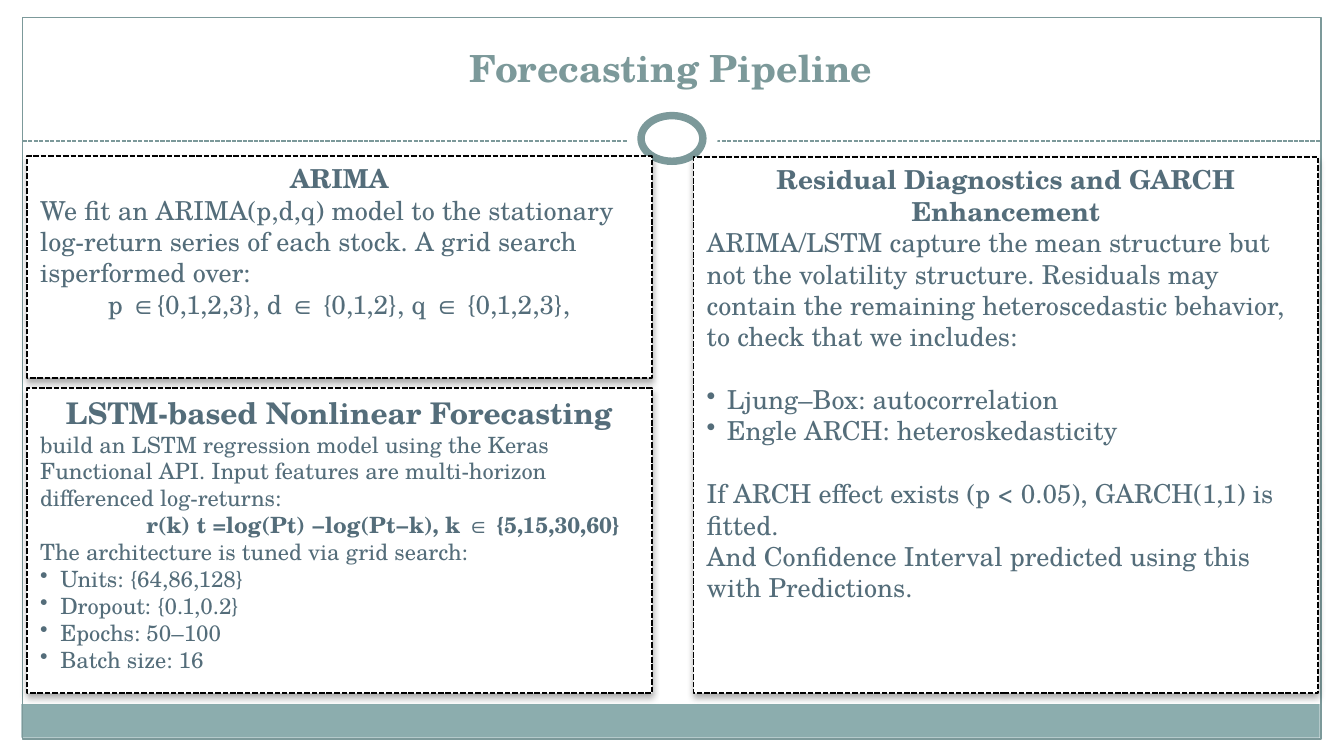
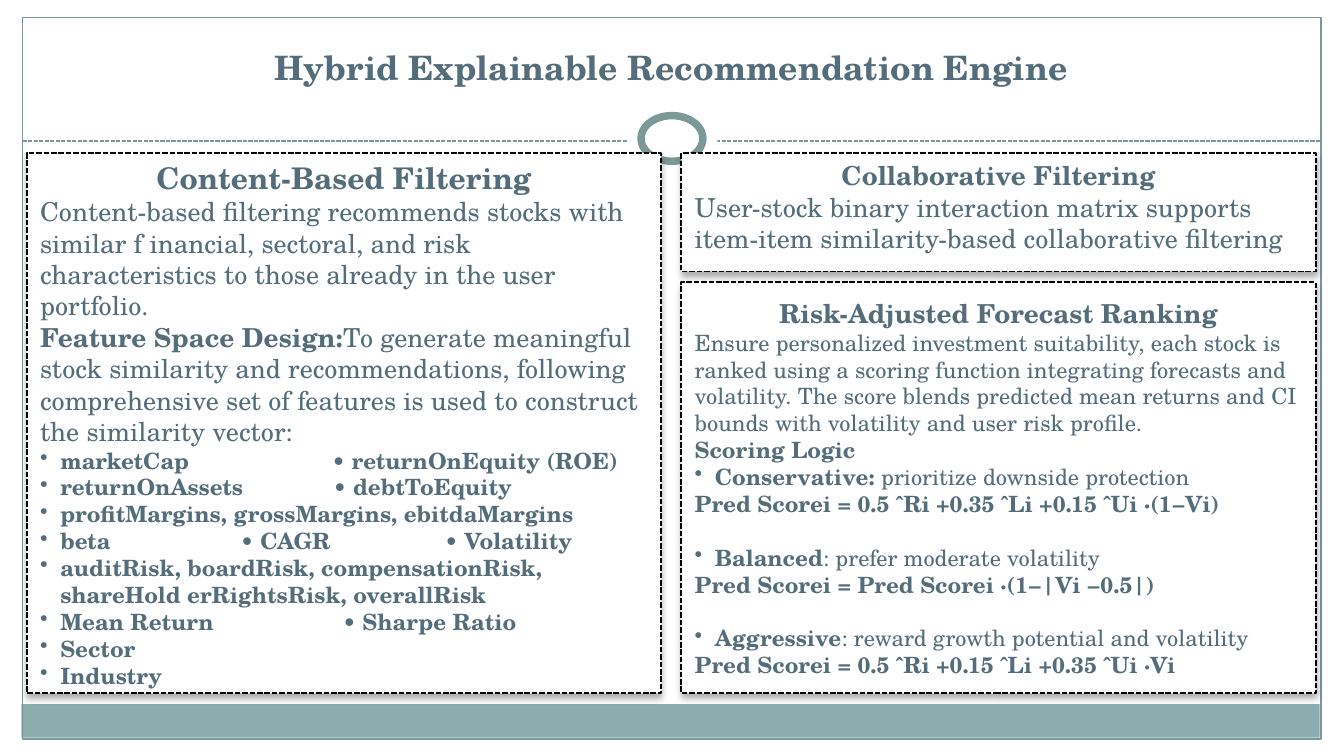
import dataclasses
import typing

import lxml.etree
import pptx
import pptx.dml.color
import pptx.enum.dml
import pptx.enum.shapes
import pptx.enum.text
import pptx.oxml.ns
import pptx.util

WIDTH, HEIGHT = pptx.util.Inches(10), pptx.util.Inches(5.625)
FONT = "TeX Gyre Schola"
COLORS = {"white": "FFFFFF", "black": "000000", "band": "8CADAE", "rule": "7C999A", "ink": "546D7A"}
LINE_HEIGHT = 1.2
FLOOR = 91.73
GAP = 1.42
BULLET_INDENT = 0.15

ALIGN = pptx.enum.text.PP_ALIGN
ANCHOR = pptx.enum.text.MSO_ANCHOR
PRESET = pptx.enum.shapes.MSO_SHAPE
DASH = pptx.enum.dml.MSO_LINE.SQUARE_DOT


class Area(typing.NamedTuple):
    """Left, top, width and height as percentages of the slide."""

    x: float
    y: float
    w: float
    h: float

    def emu(self) -> tuple[int, int, int, int]:
        """Return the area in slide units."""
        return (int(self.x * WIDTH / 100), int(self.y * HEIGHT / 100),
                int(self.w * WIDTH / 100), int(self.h * HEIGHT / 100))


@dataclasses.dataclass(frozen=True)
class FramePart:
    """A shape of the frame shared by all slides."""

    area: Area
    fill: str | None = "white"
    line: str | None = None
    weight: float = 0.75
    preset: typing.Any = PRESET.RECTANGLE


@dataclasses.dataclass(frozen=True)
class Para:
    """A paragraph made of one text or of (text, bold) runs."""

    text: str | tuple[tuple[str, bool], ...]
    size: int = 14
    bold: bool = False
    center: bool = False
    bullet: bool = False
    indent: float = 0
    gap: bool = False
    tabs: tuple[float, ...] = ()


@dataclasses.dataclass(frozen=True)
class Panel:
    """A dashed box with its paragraphs."""

    area: Area
    paras: list[Para]
    anchor: typing.Any = ANCHOR.TOP


@dataclasses.dataclass(frozen=True)
class Page:
    """The content of one slide."""

    title: str
    size: int
    color: str
    panels: list[Panel]


def heading(text: str, size: int = 14) -> Para:
    """Return a bold centred heading."""
    return Para(text, size, bold=True, center=True)


def bullets(*texts: str, size: int = 12, bold: bool = False) -> list[Para]:
    """Return one bullet for each text."""
    return [Para(t, size, bold, bullet=True) for t in texts]


def profile(name: str, rest: str, formula: str, gap: bool = True) -> list[Para]:
    """Return a risk profile and its score formula."""
    return [Para(((name, True), (rest, False)), 12, bullet=True, gap=gap),
            Para("Pred Scorei = " + formula, 12, bold=True)]


def down_to_floor(x: float, y: float, w: float) -> Area:
    """Return an area that ends at the common lower edge."""
    return Area(x, y, w, FLOOR - y)


def stack(x: float, y: float, w: float, h: float) -> tuple[Area, Area]:
    """Return an upper area and the one that fills the column below it."""
    return Area(x, y, w, h), down_to_floor(x, y + h + GAP, w)


TITLE_AREA = Area(3.3, 3.38, 93.3, 11.02)
RULE_Y = 18.67
SIDE = 1.7
FRAME = [
    FramePart(Area(0, 0, 100, 20.27)),
    FramePart(Area(0, 0, SIDE, 100)),
    FramePart(Area(100 - SIDE, 0, SIDE, 100)),
    FramePart(Area(1.6, 93.16, 96.6, 4.44), "band"),
    FramePart(Area(SIDE, 2.31, 100 - 2 * SIDE, 95.47), None, "rule"),
]
RING = [
    FramePart(Area(46.7, 13.87, 6.7, 8.89), preset=PRESET.OVAL),
    FramePart(Area(47.7, 15.29, 4.6, 6.04), "white", "rule", 4, PRESET.OVAL),
]

ARIMA_AREA, LSTM_AREA = stack(2, 20.62, 46.5, 29.33)
COLLAB_AREA, RANKING_AREA = stack(50.7, 20.27, 47.2, 15.64)

PAGES = [
    Page("Forecasting Pipeline", 20, "rule", [
        Panel(ARIMA_AREA, [
            heading("ARIMA"),
            Para("We fit an ARIMA(p,d,q) model to the stationary log-return series of each stock. "
                 "A grid search isperformed over:"),
            Para("p ∈{0,1,2,3}, d ∈ {0,1,2}, q ∈ {0,1,2,3},", center=True),
        ]),
        Panel(LSTM_AREA, [
            heading("LSTM-based Nonlinear Forecasting", 16),
            Para("build an LSTM regression model using the Keras Functional API. "
                 "Input features are multi-horizon differenced log-returns:", 12),
            Para("r(k) t =log(Pt) −log(Pt−k), k ∈ {5,15,30,60}", 12, bold=True, indent=0.79),
            Para("The architecture is tuned via grid search:", 12),
            *bullets("Units: {64,86,128}", "Dropout: {0.1,0.2}", "Epochs: 50–100", "Batch size: 16"),
        ]),
        Panel(down_to_floor(51.6, 20.8, 46.5), [
            heading("Residual Diagnostics and GARCH Enhancement"),
            Para("ARIMA/LSTM capture the mean structure but not the volatility structure. Residuals may "
                 "contain the remaining heteroscedastic behavior, to check that we includes:"),
            Para("Ljung–Box: autocorrelation", bullet=True, gap=True),
            Para("Engle ARCH: heteroskedasticity", bullet=True),
            Para("If ARCH effect exists (p < 0.05), GARCH(1,1) is fitted.", gap=True),
            Para("And Confidence Interval predicted using this with Predictions."),
        ]),
    ]),
    Page("Hybrid Explainable Recommendation Engine", 18, "ink", [
        Panel(down_to_floor(2, 20.27, 47.2), [
            heading("Content-Based Filtering", 16),
            Para("Content-based filtering recommends stocks with similar f inancial, sectoral, and risk "
                 "characteristics to those already in the user portfolio."),
            Para((("Feature Space Design:", True),
                  ("To generate meaningful stock similarity and recommendations, following comprehensive "
                   "set of features is used to construct the similarity vector:", False))),
            Para("marketCap\t• returnOnEquity (ROE)", 12, True, bullet=True, tabs=(2.17,)),
            Para("returnOnAssets\t• debtToEquity", 12, True, bullet=True, tabs=(2.18,)),
            *bullets("profitMargins, grossMargins, ebitdaMargins", bold=True),
            Para("beta\t• CAGR\t• Volatility", 12, True, bullet=True, tabs=(1.49, 3.01)),
            *bullets("auditRisk, boardRisk, compensationRisk, shareHold erRightsRisk, overallRisk", bold=True),
            Para("Mean Return\t• Sharpe Ratio", 12, True, bullet=True, tabs=(2.25,)),
            *bullets("Sector", "Industry", bold=True),
        ]),
        Panel(COLLAB_AREA, [
            heading("Collaborative Filtering"),
            Para("User-stock binary interaction matrix supports item-item similarity-based "
                 "collaborative filtering"),
        ]),
        Panel(RANKING_AREA, [
            heading("Risk-Adjusted Forecast Ranking"),
            Para("Ensure personalized investment suitability, each stock is ranked using a scoring function "
                 "integrating forecasts and volatility. The score blends predicted mean returns and CI bounds "
                 "with volatility and user risk profile.", 12),
            Para("Scoring Logic", 12, bold=True),
            *profile("Conservative: ", "prioritize downside protection",
                     "0.5 ˆRi +0.35 ˆLi +0.15 ˆUi ·(1−Vi)", gap=False),
            *profile("Balanced", ": prefer moderate volatility", "Pred Scorei ·(1−|Vi −0.5|)"),
            *profile("Aggressive", ": reward growth potential and volatility",
                     "0.5 ˆRi +0.15 ˆLi +0.35 ˆUi ·Vi"),
        ], ANCHOR.MIDDLE),
    ]),
]


def rgb(name: str) -> pptx.dml.color.RGBColor:
    """Return the named colour."""
    return pptx.dml.color.RGBColor.from_string(COLORS[name])


def add_xml(parent: typing.Any, tag: str, **attrs: typing.Any) -> typing.Any:
    """Append a DrawingML element."""
    return lxml.etree.SubElement(parent, pptx.oxml.ns.qn(tag), {k: str(v) for k, v in attrs.items()})


def add_part(s: typing.Any, part: FramePart) -> typing.Any:
    """Draw a plain shape and return it."""
    sp = s.shapes.add_shape(part.preset, *part.area.emu())
    sp.shadow.inherit = False
    if part.fill:
        sp.fill.solid()
        sp.fill.fore_color.rgb = rgb(part.fill)
    else:
        sp.fill.background()
    if part.line:
        sp.line.color.rgb = rgb(part.line)
        sp.line.width = pptx.util.Pt(part.weight)
    else:
        sp.line.fill.background()
    return sp


def add_rule(s: typing.Any) -> typing.Any:
    """Draw the dashed rule below the title."""
    x, y, w, _ = Area(SIDE, RULE_Y, 100 - 2 * SIDE, 0).emu()
    rule = s.shapes.add_connector(pptx.enum.shapes.MSO_CONNECTOR.STRAIGHT, x, y, x + w, y)
    rule.line.color.rgb = rgb("rule")
    rule.line.width = pptx.util.Pt(0.75)
    rule.line.dash_style = DASH
    add_xml(rule.element.spPr, "a:effectLst")
    return rule


def build_frame(s: typing.Any, layout: typing.Any) -> None:
    """Draw the shared frame and move it into the layout."""
    parts = [add_part(s, part) for part in FRAME]
    parts.append(add_rule(s))
    parts += [add_part(s, part) for part in RING]
    for i, sp in enumerate(parts, 2):
        layout.shapes.element.insert(i, sp.element)


def set_font(p: typing.Any, size: int, color: str) -> None:
    """Format a whole paragraph."""
    p.font.name = FONT
    p.font.size = pptx.util.Pt(size)
    p.font.color.rgb = rgb(color)


def write_para(p: typing.Any, para: Para, first: bool) -> None:
    """Fill a paragraph with its runs and format."""
    p.alignment = ALIGN.CENTER if para.center else ALIGN.LEFT
    pPr = p._p.get_or_add_pPr()
    indent = BULLET_INDENT if para.bullet else para.indent
    pPr.set("marL", str(pptx.util.Inches(indent)))
    pPr.set("indent", str(-pptx.util.Inches(indent) if para.bullet else 0))
    if para.bullet:
        add_xml(pPr, "a:buChar", char="•")
    if para.tabs:
        tabs = add_xml(pPr, "a:tabLst")
        for pos in para.tabs:
            add_xml(tabs, "a:tab", pos=pptx.util.Inches(pos), algn="l")
    if para.gap and not first:
        p.space_before = pptx.util.Pt(para.size * LINE_HEIGHT)
    set_font(p, para.size, "ink")
    if isinstance(para.text, str):
        p.add_run().text = para.text
        p.font.bold = para.bold
    else:
        for text, bold in para.text:
            r = p.add_run()
            r.text, r.font.bold = text, bold


def add_panel(s: typing.Any, panel: Panel) -> None:
    """Draw a dashed box with a soft shadow and its text."""
    sp = add_part(s, FramePart(panel.area, "white", "black", 1))
    sp.line.dash_style = DASH
    effects = sp.element.spPr.find(pptx.oxml.ns.qn("a:effectLst"))
    shadow = add_xml(effects, "a:outerShdw", blurRad=pptx.util.Pt(3.5), dist=pptx.util.Pt(2.2),
                     dir=90 * 60000, rotWithShape=0)
    add_xml(add_xml(shadow, "a:srgbClr", val=COLORS["black"]), "a:alpha", val=32000)
    tf = sp.text_frame
    tf.word_wrap = True
    tf.vertical_anchor = panel.anchor
    for i, para in enumerate(panel.paras):
        write_para(tf.add_paragraph() if i else tf.paragraphs[0], para, i == 0)


def set_title(s: typing.Any, page: Page) -> None:
    """Place and format the slide title."""
    title = s.shapes.title
    title.left, title.top, title.width, title.height = TITLE_AREA.emu()
    tf = title.text_frame
    tf.text = page.title
    tf.auto_size = pptx.enum.text.MSO_AUTO_SIZE.NONE
    tf.vertical_anchor = ANCHOR.MIDDLE
    p = tf.paragraphs[0]
    p.alignment = ALIGN.CENTER
    set_font(p, page.size, page.color)
    p.font.bold = True


def main() -> None:
    """Build the presentation."""
    prs = pptx.Presentation()
    prs.slide_width, prs.slide_height = WIDTH, HEIGHT
    layout = prs.slide_layouts[5]
    for ph in list(layout.placeholders)[1:]:
        ph.element.getparent().remove(ph.element)
    for i, page in enumerate(PAGES):
        s = prs.slides.add_slide(layout)
        if i == 0:
            build_frame(s, layout)
        set_title(s, page)
        for panel in page.panels:
            add_panel(s, panel)
    prs.save("out.pptx")


if __name__ == "__main__":
    main()
